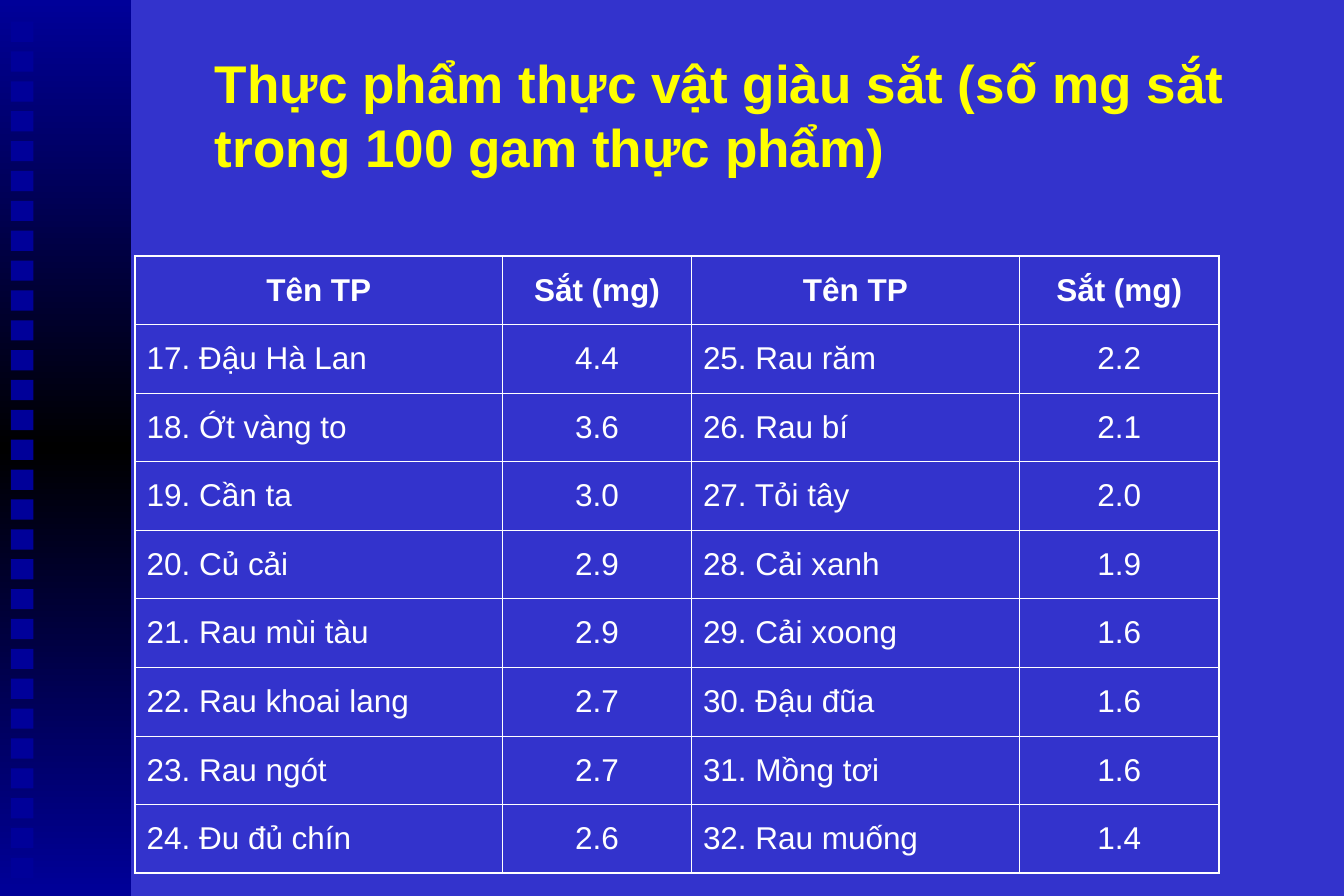
import copy
import lxml.etree
import pptx
import pptx.util
import pptx.dml.color
import pptx.enum.shapes
import pptx.enum.text
import pptx.oxml.ns

Cm, Pt = pptx.util.Cm, pptx.util.Pt
ALIGN = pptx.enum.text.PP_ALIGN
MIDDLE = pptx.enum.text.MSO_ANCHOR.MIDDLE
RECT = pptx.enum.shapes.MSO_SHAPE.RECTANGLE
qn = pptx.oxml.ns.qn


def rgb(value):
    return pptx.dml.color.RGBColor.from_string(value)


def add_text(p, text, size, color, bold):
    r = p.add_run()
    r.text = text
    r.font.name = "Arial"
    r.font.size = Pt(size)
    r.font.bold = bold
    r.font.color.rgb = rgb(color)


prs = pptx.Presentation()
prs.slide_width, prs.slide_height = Cm(28.58), Cm(19.05)
s = prs.slides.add_slide(prs.slide_layouts[5])
s.background.fill.solid()
s.background.fill.fore_color.rgb = rgb("3333CC")

band = s.shapes.add_shape(RECT, 0, 0, Cm(2.79), prs.slide_height)
band.shadow.inherit = False
band.line.fill.background()
band.fill.gradient()
band.fill.gradient_angle = 90
first_stop = band.fill.gradient_stops[0]
stop_list = band.element.spPr.find(".//" + qn("a:gsLst"))
stop_list.insert(1, copy.deepcopy(stop_list[0]))
for stop, position, color in zip(band.fill.gradient_stops, (0, 0.5, 1), ("000099", "000000", "000099")):
    stop.position = position
    stop.color.rgb = rgb(color)

square_count, first_top, last_top = 29, 0.46, 18.24
square_step = (last_top - first_top) / (square_count - 1)
for i in range(square_count):
    sp = s.shapes.add_shape(RECT, Cm(0.23), Cm(first_top + i * square_step), Cm(0.48), Cm(0.43))
    sp.shadow.inherit = False
    sp.fill.solid()
    sp.fill.fore_color.rgb = rgb("000099")
    sp.line.fill.background()

title = s.shapes.title
title.left, title.top, title.width, title.height = Cm(4.29), Cm(0.84), Cm(22.86), Cm(3.18)
tf = title.text_frame
tf.word_wrap = True
tf.auto_size = pptx.enum.text.MSO_AUTO_SIZE.NONE
tf.vertical_anchor = MIDDLE
tf.margin_left = tf.margin_right = Cm(0.28)
tf.margin_top = tf.margin_bottom = Cm(0.15)
p = tf.paragraphs[0]
p.alignment = ALIGN.LEFT
add_text(p, "Thực phẩm thực vật giàu sắt (số mg sắt trong 100 gam thực phẩm)", 32, "FFFF00", True)

rows = [
    ("Tên TP", "Sắt (mg)", "Tên TP", "Sắt (mg)"),
    ("17. Đậu Hà Lan", "4.4", "25. Rau răm", "2.2"),
    ("18. Ớt vàng to", "3.6", "26. Rau bí", "2.1"),
    ("19. Cần ta", "3.0", "27. Tỏi tây", "2.0"),
    ("20. Củ cải", "2.9", "28. Cải xanh", "1.9"),
    ("21. Rau mùi tàu", "2.9", "29. Cải xoong", "1.6"),
    ("22. Rau khoai lang", "2.7", "30. Đậu đũa", "1.6"),
    ("23. Rau ngót", "2.7", "31. Mồng tơi", "1.6"),
    ("24. Đu đủ chín", "2.6", "32. Rau muống", "1.4"),
]
widths = (7.82, 4.01, 6.98, 4.24)
frame = s.shapes.add_table(len(rows), len(widths), Cm(2.87), Cm(5.44), Cm(sum(widths)), Cm(13.13))
table = frame.table
table.first_row = table.horz_banding = False
for column, width in zip(table.columns, widths):
    column.width = Cm(width)

for i, row in enumerate(rows):
    for j, text in enumerate(row):
        cell = table.cell(i, j)
        cell.vertical_anchor = MIDDLE
        cell.margin_left = cell.margin_right = Cm(0.25)
        cell.margin_top = cell.margin_bottom = Cm(0.13)
        p = cell.text_frame.paragraphs[0]
        p.alignment = ALIGN.CENTER if i == 0 or j % 2 else ALIGN.LEFT
        add_text(p, text, 19, "FFFFFF", i == 0)

        outer_edges = {"L": j == 0, "R": j == len(widths) - 1, "T": i == 0, "B": i == len(rows) - 1}
        tc_pr = cell._tc.get_or_add_tcPr()
        for side, outer in outer_edges.items():
            ln = lxml.etree.SubElement(tc_pr, qn("a:ln" + side), w=str(Pt(1.08 if outer else 0.45)))
            fill = lxml.etree.SubElement(ln, qn("a:solidFill"))
            lxml.etree.SubElement(fill, qn("a:srgbClr"), val="FFFFFF")
        cell.fill.background()

prs.save("out.pptx")
